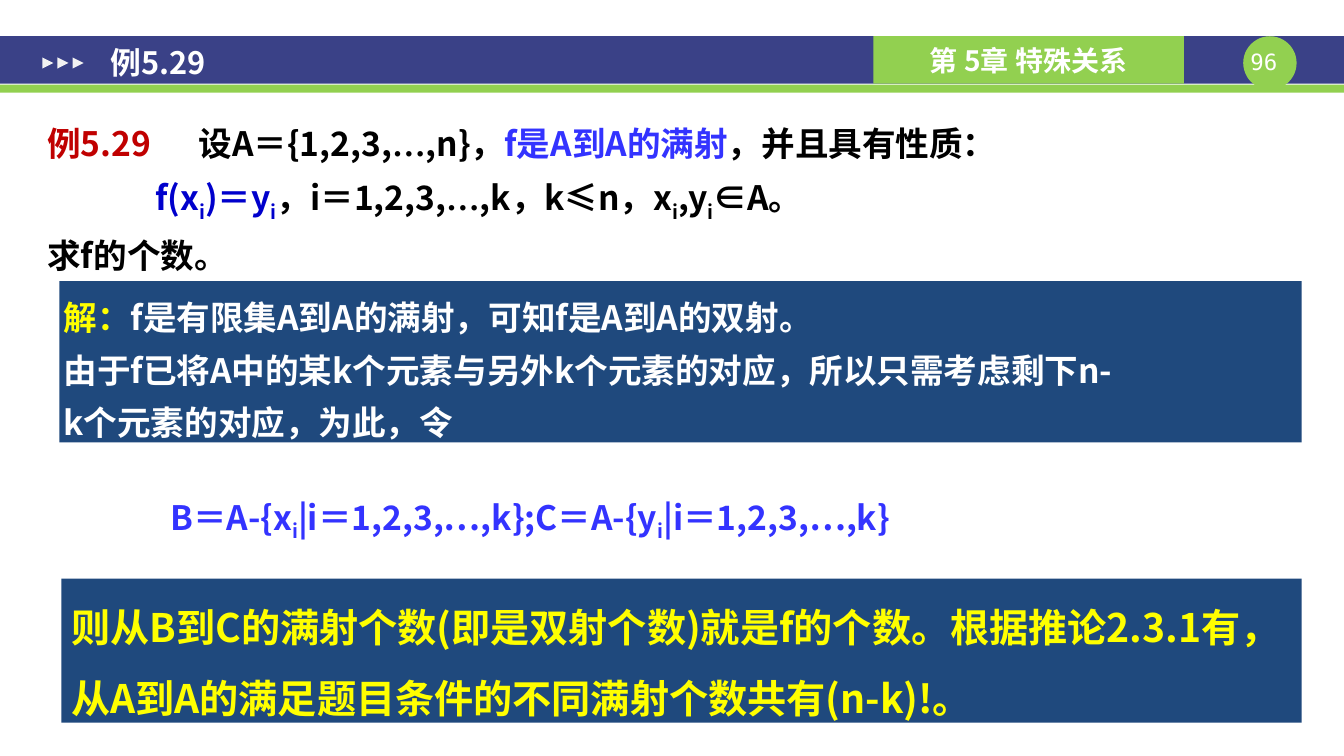
import pptx
import pptx.util
import pptx.dml.color
import pptx.enum.shapes
import pptx.enum.text
import pptx.oxml
import pptx.oxml.ns

Inches = pptx.util.Inches
Color = pptx.dml.color.RGBColor
Kind = pptx.enum.shapes.MSO_SHAPE
Align = pptx.enum.text.PP_ALIGN
Anchor = pptx.enum.text.MSO_ANCHOR

WHITE = Color(0xFF, 0xFF, 0xFF)
BLACK = Color(0, 0, 0)
PALE = Color(0xF2, 0xF2, 0xF2)
INDIGO = Color(0x3A, 0x41, 0x87)
GREEN = Color(0x92, 0xD0, 0x50)
NAVY = Color(0x1F, 0x49, 0x7D)
RED = Color(0xC0, 0, 0)
BLUE = Color(0x33, 0x33, 0xFF)
DEEP = Color(0, 0, 0xCC)
YELLOW = Color(0xFF, 0xFF, 0)

SANS = "Noto Sans CJK SC"
MONO = "DejaVu Sans Mono"
SERIF = "Times New Roman"


class Page:
    def __init__(self, slide):
        self.slide = slide

    def shape(self, kind, box, fill, turn=0):
        item = self.slide.shapes.add_shape(kind, *map(Inches, box))
        item.shadow.inherit = False
        item.fill.solid()
        item.fill.fore_color.rgb = fill
        item.line.fill.background()
        item.rotation = turn
        return item

    def label(self, box):
        return self.slide.shapes.add_textbox(*map(Inches, box))

    def frame(self, item, pads=(0.1, 0.05, 0.1, 0.05), anchor=Anchor.TOP):
        frame = item.text_frame
        frame.word_wrap = True
        frame.vertical_anchor = anchor
        frame.margin_left, frame.margin_top, frame.margin_right, frame.margin_bottom = map(Inches, pads)
        return frame

    def line(self, frame, size, runs, align=Align.LEFT, space=1, indent=0, tab=0):
        first = not frame.paragraphs[0].runs
        para = frame.paragraphs[0] if first else frame.add_paragraph()
        para.alignment = align
        para.line_spacing = space
        props = para._p.get_or_add_pPr()
        props.set("marL", str(Inches(indent)))
        props.set("indent", "0")
        if tab:
            tabs = pptx.oxml.parse_xml(
                f'<a:tabLst {pptx.oxml.ns.nsdecls("a")}>'
                f'<a:tab pos="{Inches(tab)}" algn="l"/></a:tabLst>')
            props.append(tabs)
        for text, color, *style in runs:
            self.run(para, text, size, color, *style)

    def run(self, para, text, size, color, face=SANS, sub=False, bold=True):
        run = para.add_run()
        run.text = text
        font = run.font
        font.size = pptx.util.Pt(size)
        font.bold = bold
        font.color.rgb = color
        font.name = face
        props = run._r.get_or_add_rPr()
        east = pptx.oxml.parse_xml(
            f'<a:ea {pptx.oxml.ns.nsdecls("a")} typeface="{face}"/>')
        props.find(pptx.oxml.ns.qn("a:latin")).addnext(east)
        if sub:
            props.set("baseline", "-25000")


def header(page):
    page.shape(Kind.RECTANGLE, (0, 0.36, 13.34, 0.47), INDIGO)
    page.shape(Kind.RECTANGLE, (0, 0.84, 13.34, 0.08), GREEN)
    page.shape(Kind.OVAL, (12.34, 0.36, 0.53, 0.53), GREEN)
    number = page.frame(page.label((12.28, 0.48, 0.53, 0.27)), (0, 0, 0, 0))
    page.line(number, 16, [("96", WHITE, MONO, False, False)], Align.CENTER)
    badge = page.shape(Kind.RECTANGLE, (8.67, 0.36, 3.08, 0.47), GREEN)
    chapter = page.frame(badge, anchor=Anchor.MIDDLE)
    page.line(chapter, 20, [("第 5章 特殊关系", WHITE)], Align.CENTER)
    for step in range(3):
        page.shape(Kind.ISOSCELES_TRIANGLE, (0.42 + 0.15 * step, 0.57, 0.11, 0.11), PALE, 90)
    title = page.frame(page.label((1, 0.3, 7.6, 0.64)), (0.1, 0.07, 0.13, 0.07), Anchor.MIDDLE)
    page.line(title, 22, [("例5.29", WHITE)])


def problem(page):
    frame = page.frame(page.label((0.34, 1.03, 12.58, 1.92)), (0.13, 0.07, 0.13, 0.07))
    page.line(frame, 24, [
        ("例5.29\t", RED), ("设A＝{1,2,3,", BLACK), ("…", BLACK, SERIF),
        (",n}，", BLACK), ("f是A到A的满射", BLUE), ("，并且具有性质：", BLACK),
    ], space=1.3, tab=1.34)
    page.line(frame, 24, [
        ("f(x", DEEP), ("i", DEEP, SANS, True), (")＝y", DEEP), ("i", DEEP, SANS, True),
        ("，i＝1,2,3,", BLACK), ("…", BLACK, SERIF), (",k，k≤n，x", BLACK),
        ("i", BLACK, SANS, True), (",y", BLACK), ("i", BLACK, SANS, True), ("∈A。", BLACK),
    ], space=1.3, indent=1.07)
    page.line(frame, 24, [("求f的个数。", BLACK)], space=1.3)


def answer(page):
    panel = page.shape(Kind.RECTANGLE, (0.59, 2.79, 12.33, 1.6), NAVY)
    frame = page.frame(panel, (0.04, 0.04, 0.04, 0.04))
    for runs in (
        [("解：", YELLOW), ("f是有限集A到A的满射，可知f是A到A的双射。", WHITE)],
        [("由于f已将A中的某k个元素与另外k个元素的对应，所以只需考虑剩下n-", WHITE)],
        [("k个元素的对应，为此，令", WHITE)],
    ):
        page.line(frame, 24, runs, space=1.3)

    sets = page.frame(page.label((1.59, 4.88, 9.15, 0.5)))
    page.line(sets, 24, [
        ("B＝A-{x", BLUE), ("i", BLUE, SANS, True), ("|i＝1,2,3,…,k};C＝A-{y", BLUE),
        ("i", BLUE, SANS, True), ("|i＝1,2,3,…,k}", BLUE),
    ])

    panel = page.shape(Kind.RECTANGLE, (0.61, 5.74, 12.31, 1.43), NAVY)
    frame = page.frame(panel, anchor=Anchor.MIDDLE)
    page.line(frame, 28, [(
        "则从B到C的满射个数(即是双射个数)就是f的个数。根据推论2.3.1有，"
        "从A到A的满足题目条件的不同满射个数共有(n-k)!。", YELLOW)], space=1.5)


def main():
    deck = pptx.Presentation()
    deck.slide_width, deck.slide_height = Inches(13.34), Inches(7.5)
    page = Page(deck.slides.add_slide(deck.slide_layouts[6]))
    header(page)
    problem(page)
    answer(page)
    deck.save("out.pptx")


if __name__ == "__main__":
    main()
